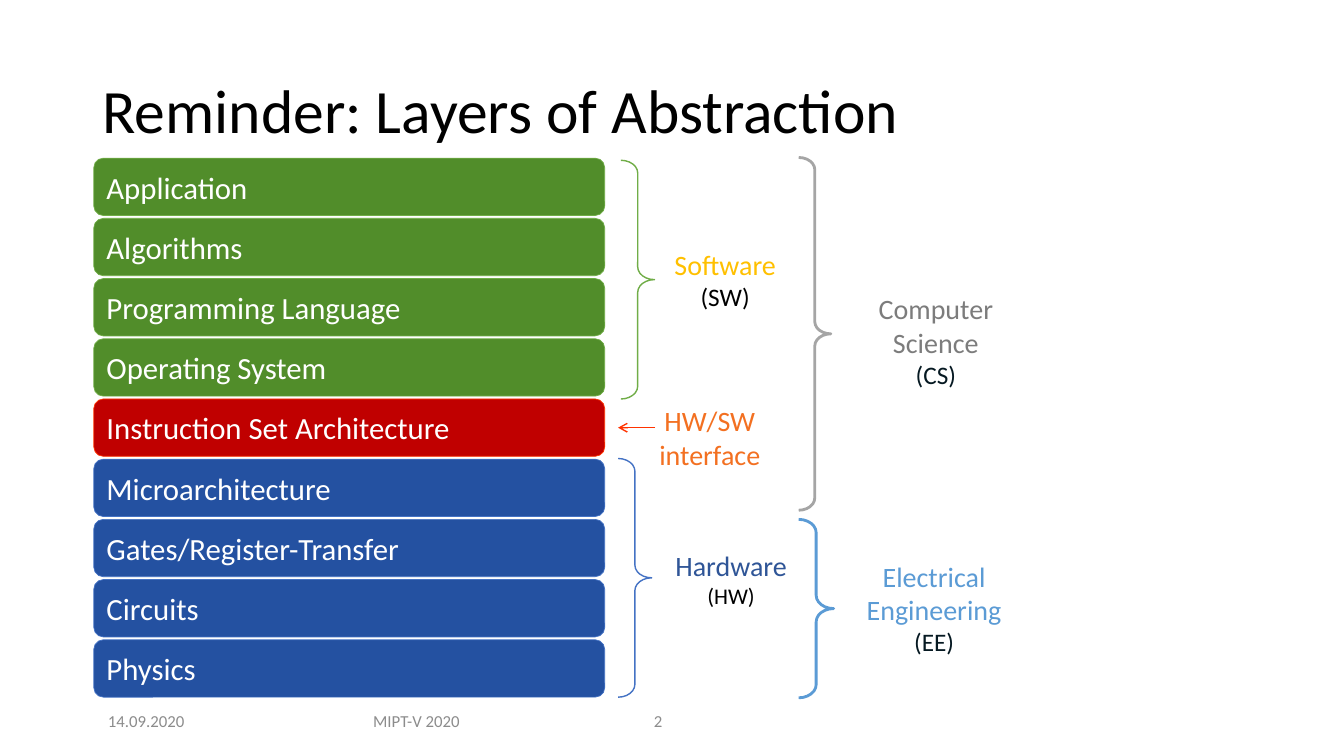
"""Build a slide that shows the layers of abstraction in computing."""
from lxml import etree
from pptx import Presentation
from pptx.dml.color import RGBColor
from pptx.enum import shapes, text
from pptx.oxml import ns
from pptx.util import Pt

FONT = "Calibri"
BLACK = RGBColor(0, 0, 0)
WHITE = RGBColor(255, 255, 255)
GREY = RGBColor(0x8C, 0x8C, 0x8C)
SILVER = RGBColor(0xA5, 0xA5, 0xA5)
STEEL = RGBColor(0x7C, 0x7C, 0x7C)
INK = RGBColor(0x06, 0x19, 0x22)
GREEN = RGBColor(0x51, 0x8D, 0x2A)
LIME = RGBColor(0x70, 0xAD, 0x47)
CRIMSON = RGBColor(0xC0, 0, 0)
RED = RGBColor(0xFF, 0x33, 0)
BLUE = RGBColor(0x24, 0x51, 0xA1)
AZURE = RGBColor(0x44, 0x72, 0xC4)
NAVY = RGBColor(0x2F, 0x55, 0x97)
SKY = RGBColor(0x5B, 0x9B, 0xD5)
GOLD = RGBColor(0xFF, 0xC0, 0)
ORANGE = RGBColor(0xF3, 0x70, 0x21)

TITLE = "Reminder: Layers of Abstraction"
GROUPS = [
    (GREEN, LIME, ["Application", "Algorithms", "Programming Language",
                   "Operating System"]),
    (CRIMSON, RED, ["Instruction Set Architecture"]),
    (BLUE, AZURE, ["Microarchitecture", "Gates/Register-Transfer",
                   "Circuits", "Physics"]),
]
BRACES = [
    ((443.5, 114.5, 24, 170.5), LIME, 1),
    ((441.5, 327.5, 24, 170.5), AZURE, 1),
    ((570.5, 112.5, 23, 252), SILVER, 2),
    ((570.5, 371, 25, 127.5), SKY, 2),
]
LABELS = [
    ((461.5, 173.5, 113, 53),
     [[("Software ", 20, GOLD), ("(SW)", 18, BLACK)]]),
    ((465, 388, 114.5, 51),
     [[("Hardware", 20, NAVY), (" (HW)", 16, BLACK)]]),
    ((456.5, 285, 101, 55.5), [[("HW/SW interface", 20, ORANGE)]]),
    ((612, 205, 113, 78),
     [[("Computer Science", 20, STEEL)], [("(CS)", 18, INK)]]),
    ((602.5, 396, 129.5, 78),
     [[("Electrical Engineering", 20, SKY)], [("(EE)", 18, INK)]]),
]
FOOTS = [
    ((66, 500.5, 77, 29), "14.09.2020", text.PP_ALIGN.CENTER),
    ((240.5, 500.5, 114, 29), "MIPT-V 2020", text.PP_ALIGN.CENTER),
    ((460, 500.5, 57, 29), "2", text.PP_ALIGN.LEFT),
]
LEFT, TOP, WIDE, HIGH, STEP = 67, 113, 365, 41, 43


def points(box):
    """Turn plain numbers into lengths."""
    return [Pt(n) for n in box]


def write(frame, paras, align, anchor, wrap=True):
    """Fill a text frame run by run."""
    frame.word_wrap = wrap
    frame.auto_size = text.MSO_AUTO_SIZE.NONE
    frame.vertical_anchor = anchor
    for i, runs in enumerate(paras):
        para = frame.add_paragraph() if i else frame.paragraphs[0]
        para.alignment = align
        for words, size, color in runs:
            run = para.add_run()
            run.text = words
            run.font.name = FONT
            run.font.size = Pt(size)
            run.font.color.rgb = color


def draw(slide, kind, box, line, width):
    """Add an unfilled preset shape with a plain line."""
    shape = slide.shapes.add_shape(kind, *points(box))
    shape.shadow.inherit = False
    shape.fill.background()
    shape.line.color.rgb = line
    shape.line.width = Pt(width)
    return shape


def layers(slide):
    """Stack the layers from top to bottom."""
    rows = [(name, fill, line) for fill, line, names in GROUPS
            for name in names]
    for i, (name, fill, line) in enumerate(rows):
        box = (LEFT, TOP + i * STEP, WIDE, HIGH)
        bar = draw(slide, shapes.MSO_SHAPE.ROUNDED_RECTANGLE, box, line, 0.5)
        bar.fill.solid()
        bar.fill.fore_color.rgb = fill
        write(bar.text_frame, [[(name, 22, WHITE)]], text.PP_ALIGN.LEFT,
              text.MSO_ANCHOR.MIDDLE, False)


def arrow(slide):
    """Point from the interface label to its layer."""
    line = slide.shapes.add_connector(
        shapes.MSO_CONNECTOR.STRAIGHT, *points((468, 305.5, 441.5, 305.5)))
    line.line.color.rgb = RED
    line.line.width = Pt(1)
    tail = etree.SubElement(line.line._get_or_add_ln(), ns.qn("a:tailEnd"))
    tail.set("type", "arrow")
    etree.SubElement(line._element.spPr, ns.qn("a:effectLst"))


def main():
    """Compose and save the slide."""
    deck = Presentation()
    deck.slide_width, deck.slide_height = Pt(960), Pt(540)
    slide = deck.slides.add_slide(deck.slide_layouts[5])
    title = slide.shapes.title
    title.left, title.top, title.width, title.height = points(
        (66, 29, 828, 104))
    write(title.text_frame, [[(TITLE, 44, BLACK)]], text.PP_ALIGN.LEFT,
          text.MSO_ANCHOR.MIDDLE)
    title.text_frame.paragraphs[0].line_spacing = 0.9
    layers(slide)
    for box, color, width in BRACES:
        brace = draw(slide, shapes.MSO_SHAPE.RIGHT_BRACE, box, color, width)
        brace.adjustments[0], brace.adjustments[1] = 0.38, 0.5
    arrow(slide)
    for box, paras in LABELS:
        label = slide.shapes.add_textbox(*points(box))
        write(label.text_frame, paras, text.PP_ALIGN.CENTER,
              text.MSO_ANCHOR.TOP)
    for box, words, align in FOOTS:
        foot = slide.shapes.add_textbox(*points(box))
        write(foot.text_frame, [[(words, 12, GREY)]], align,
              text.MSO_ANCHOR.MIDDLE)
    deck.save("out.pptx")


if __name__ == "__main__":
    main()
